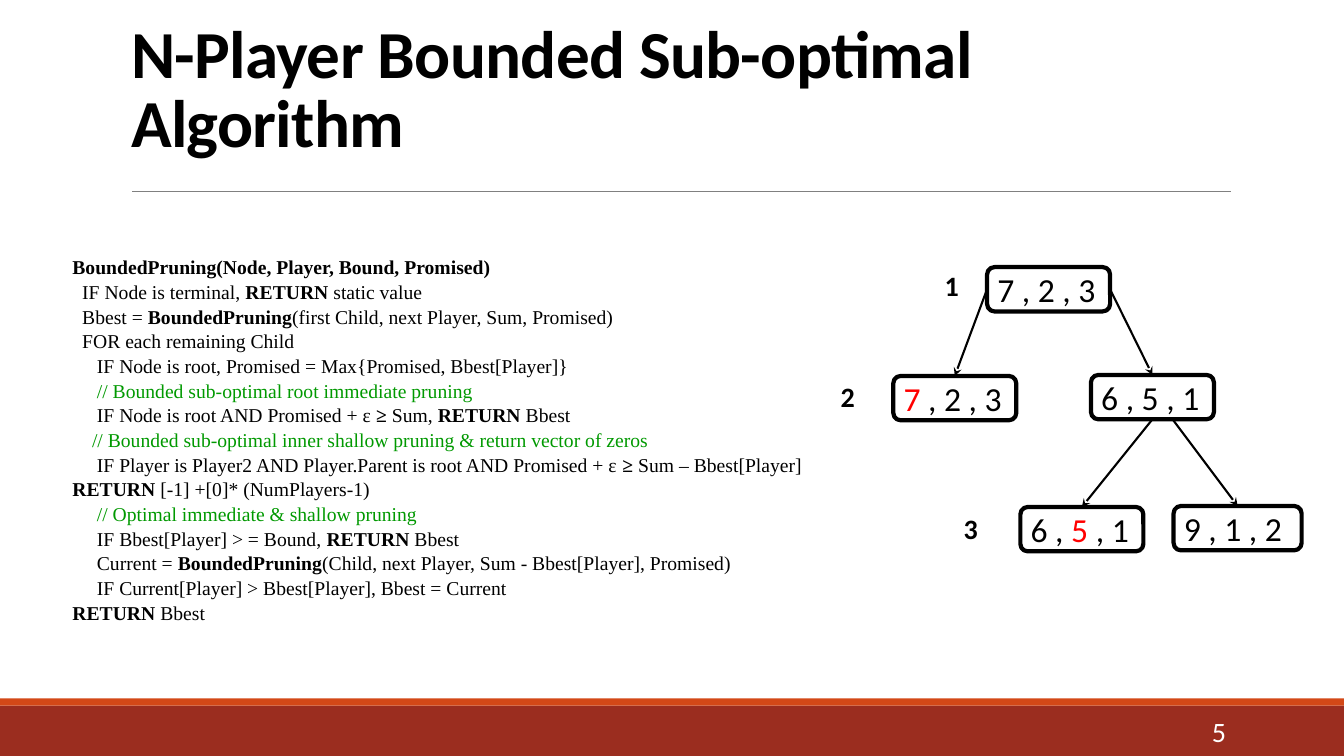
from pptx import Presentation
from pptx.dml.color import RGBColor as RGB
from pptx.enum.shapes import MSO_CONNECTOR as LINE, MSO_SHAPE as SHAPE
from pptx.enum.text import MSO_ANCHOR as ANCHOR, MSO_AUTO_SIZE as AUTO, PP_ALIGN as ALIGN
from pptx.oxml.ns import qn
from pptx.util import Inches, Pt
from lxml import etree


def paint(part, hue):
    if hasattr(part, "solid"):
        part.solid()
        part = part.fore_color
    else:
        part = part.color
    part.rgb = RGB.from_string(hue)


def write(par, text, look, hue="000000", mark=None):
    for num, bit in enumerate(text.split("|")):
        if not bit:
            continue
        run = par.add_run()
        run.text = bit
        for key, val in {**look, **((mark or {}) if num % 2 else {})}.items():
            if key != "hue":
                setattr(run.font, key, val)
        paint(run.font, mark["hue"] if num % 2 and "hue" in mark else hue)


deck = Presentation()
deck.slide_width = Inches(13.33)
deck.slide_height = Inches(7.5)
slide = deck.slides.add_slide(deck.slide_layouts[5])
shapes = slide.shapes

for top, high, hue in [(7, 0.5, "9B2D1F"), (6.93, 0.07, "D34817")]:
    band = shapes.add_shape(SHAPE.RECTANGLE, 0, Inches(top), deck.slide_width, Inches(high))
    band.shadow.inherit = False
    paint(band.fill, hue)
    band.line.fill.background()

title = shapes.title
spot = {"left": 1.2, "top": 0.31, "width": 11, "height": 2.03}
for key, val in spot.items():
    setattr(title, key, Inches(val))
frame = title.text_frame
form = {"word_wrap": True, "auto_size": AUTO.NONE, "vertical_anchor": ANCHOR.BOTTOM,
        "margin_bottom": Inches(0.74)}
for key, val in form.items():
    setattr(frame, key, val)
par = frame.paragraphs[0]
par.alignment = ALIGN.LEFT
par.line_spacing = 0.85
write(par, "N-Player Bounded Sub-optimal Algorithm",
      {"size": Pt(48), "name": "Calibri", "bold": True})
par.runs[0].font._element.set("spc", "-50")

BOLD = {"bold": True}
GREEN = "009900"
code = [
    (0, "|BoundedPruning(Node, Player, Bound, Promised)|"),
    (2, "IF Node is terminal, |RETURN| static value"),
    (2, "Bbest = |BoundedPruning|(first Child, next Player, Sum, Promised)"),
    (2, "FOR each remaining Child"),
    (5, "IF Node is root, Promised = Max{Promised, Bbest[Player]}"),
    (5, "// Bounded sub-optimal root immediate pruning"),
    (5, "IF Node is root AND Promised + ɛ| ≥ |Sum, |RETURN| Bbest"),
    (4, "// Bounded sub-optimal inner shallow pruning & return vector of zeros"),
    (5, "IF Player is Player2 AND Player.Parent is root AND Promised + ɛ |≥ |"
        "Sum – Bbest[Player]\v|RETURN| [-1] +[0]* (NumPlayers-1)"),
    (5, "// Optimal immediate & shallow pruning"),
    (5, "IF Bbest[Player] > = Bound, |RETURN| Bbest"),
    (5, "Current = |BoundedPruning|(Child, next Player, Sum - Bbest[Player], Promised)"),
    (5, "IF Current[Player] > Bbest[Player], Bbest = Current"),
    (0, "|RETURN| Bbest"),
]
box = shapes.add_textbox(Inches(0.62), Inches(2.47), Inches(9.73), Inches(3.64))
frame = box.text_frame
frame.word_wrap = True
look = {"size": Pt(14), "name": "Times New Roman", "bold": False}
for num, (step, text) in enumerate(code):
    par = frame.add_paragraph() if num else frame.paragraphs[0]
    par.line_spacing = 1.05
    props = par._p.get_or_add_pPr()
    props.set("marL", "0")
    props.set("indent", str(Pt(3.5 * step)))
    head, *tail = text.split("\v")
    hue = GREEN if text.startswith("//") else "000000"
    write(par, head, look, hue, BOLD)
    for rest in tail:
        par.add_line_break()
        write(par, rest, look, hue, BOLD)

tree = {
    "root": (9.79, 2.65, 1.22, "7 , 2 , 3"),
    "left": (8.86, 3.73, 1.22, "|7| , 2 , 3"),
    "right": (10.82, 3.72, 1.22, "6 , 5 , 1"),
    "low": (10.12, 5.03, 1.22, "6 , |5| , 1"),
    "last": (11.64, 5.02, 1.27, "9 , 1 , 2"),
}
nodes = {}
for name, (left, top, wide, text) in tree.items():
    node = shapes.add_shape(SHAPE.ROUNDED_RECTANGLE, Inches(left), Inches(top),
                            Inches(wide), Inches(0.44))
    node.shadow.inherit = False
    paint(node.fill, "FFFFFF")
    paint(node.line, "000000")
    node.line.width = Pt(3)
    frame = node.text_frame
    form = {"word_wrap": True, "vertical_anchor": ANCHOR.MIDDLE, "margin_left": Inches(0.08)}
    for key, val in form.items():
        setattr(frame, key, val)
    par = frame.paragraphs[0]
    par.alignment = ALIGN.LEFT
    write(par, text, {"size": Pt(24), "name": "Calibri"}, mark={"hue": "FF0000"})
    nodes[name] = node

links = [
    (1.31, 1.9, 12.21, 1.9, None, None, None),
    (9.79, 2.87, 9.47, 3.73, "root", 1, "left"),
    (11.01, 2.87, 11.43, 3.72, "root", 3, "right"),
    (11.43, 4.16, 10.73, 5.03, "right", 2, "low"),
    (11.63, 4.16, 12.28, 5.02, None, None, "last"),
]
for *ends, start, side, goal in links:
    link = shapes.add_connector(LINE.STRAIGHT, *map(Inches, ends))
    paint(link.line, "000000" if goal else "808080")
    link.line.width = Pt(1.5 if goal else 0.5)
    if start:
        link.begin_connect(nodes[start], side)
    if goal:
        link.end_connect(nodes[goal], 0)
        etree.SubElement(link.line._get_or_add_ln(), qn("a:tailEnd"), type="stealth")
    etree.SubElement(link._element.spPr, qn("a:effectLst"))

labels = [
    (9.27, 2.61, 0.29, 0.44, "1", "000000", True, ALIGN.LEFT),
    (8.24, 3.72, 0.29, 0.44, "2", "000000", True, ALIGN.LEFT),
    (9.46, 5.03, 0.29, 0.44, "3", "000000", True, ALIGN.LEFT),
    (10.83, 7.06, 1.43, 0.4, "5", "FFFFFF", False, ALIGN.RIGHT),
]
for *spot, text, hue, bold, side in labels:
    label = shapes.add_textbox(*map(Inches, spot))
    frame = label.text_frame
    frame.word_wrap = True
    frame.vertical_anchor = ANCHOR.TOP if bold else ANCHOR.MIDDLE
    par = frame.paragraphs[0]
    par.alignment = side
    write(par, text, {"size": Pt(20), "name": "Calibri", "bold": bold}, hue)

deck.save("out.pptx")
